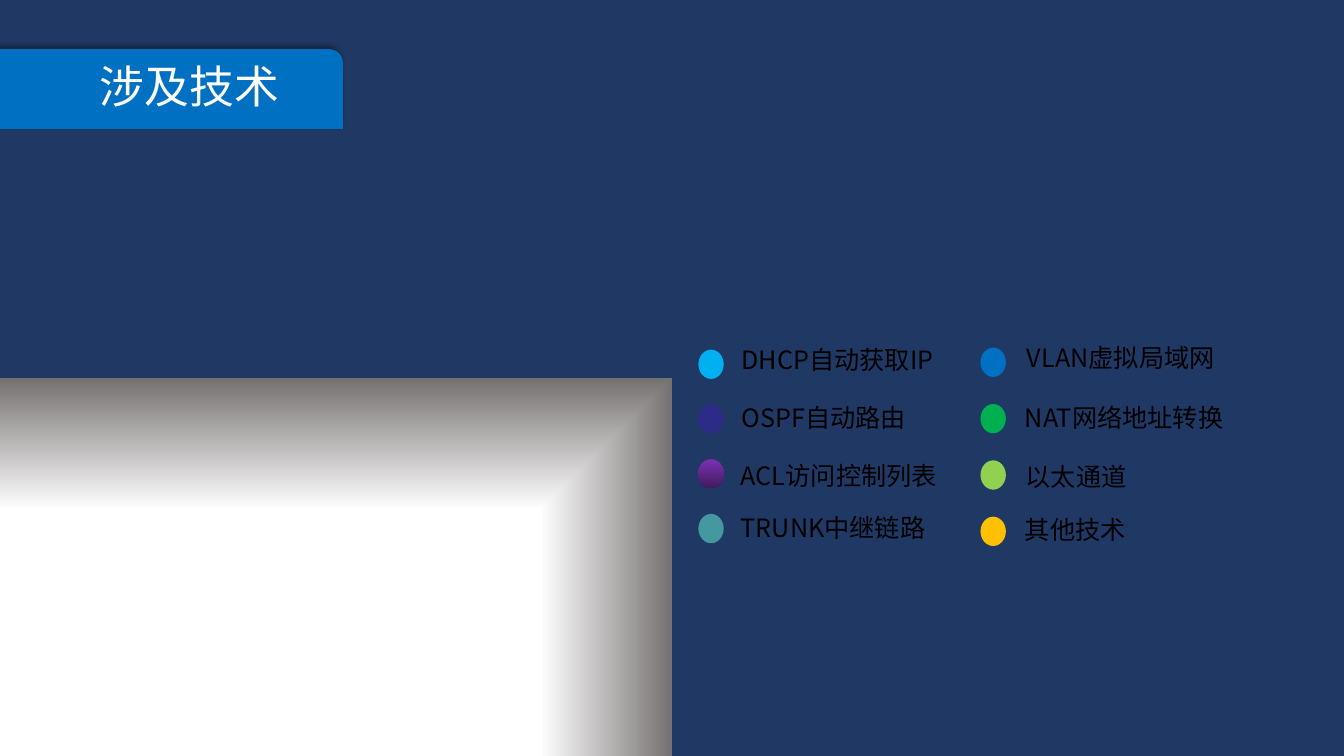
"""Builds the slide listing the network technologies involved."""
from pptx import Presentation
from pptx import util as u
from pptx.dml.color import RGBColor
from pptx.enum import shapes, text
from pptx.oxml import parse_xml
from pptx.oxml.ns import nsdecls, qn

FONT = "Noto Sans CJK SC"


def paint(fill, *colours):
    if len(colours) == 1:
        fill.solid()
        fill.fore_color.rgb = RGBColor.from_string(colours[0])
        return
    fill.gradient()
    fill.gradient_angle = 270
    for stop, position, colour in zip(fill.gradient_stops, (0, 1), colours):
        stop.position = position
        stop.color.rgb = RGBColor.from_string(colour)


def write(sp, wording, size, colour):
    tf = sp.text_frame
    tf.text = wording
    tf.word_wrap = True
    tf.auto_size = text.MSO_AUTO_SIZE.SHAPE_TO_FIT_TEXT
    tf.vertical_anchor = text.MSO_ANCHOR.TOP
    p = tf.paragraphs[0]
    p.alignment = text.PP_ALIGN.LEFT
    r = p.runs[0]
    r.font.size = u.Pt(size)
    r.font.name = FONT
    paint(r.font.fill, colour)
    ea = r.font._element.makeelement(qn("a:ea"), {"typeface": FONT})
    r.font._element.find(qn("a:latin")).addnext(ea)


prs = Presentation()
prs.slide_width, prs.slide_height = u.Cm(33.87), u.Cm(19.05)
s = prs.slides.add_slide(prs.slide_layouts[5])

s.background.fill.gradient()
old_fill = s._element.find(".//" + qn("p:bgPr")).find(qn("a:gradFill"))
stops = "".join(
    f'<a:gs pos="{position}000"><a:srgbClr val="{colour}"/></a:gs>'
    for position, colour in ((65, "FFFFFF"), (100, "767171"), (100, "203864")))
old_fill.getparent().replace(old_fill, parse_xml(
    f'<a:gradFill {nsdecls("a")} rotWithShape="1"><a:gsLst>{stops}</a:gsLst>'
    '<a:path path="rect"><a:fillToRect t="100000" r="100000"/></a:path>'
    '<a:tileRect l="-100000" b="-100000"/></a:gradFill>'))

tag = s.shapes.add_shape(shapes.MSO_SHAPE.ROUND_1_RECTANGLE,
                         u.Cm(-0.18), u.Cm(1.24), u.Cm(8.82), u.Cm(2.01))
paint(tag.fill, "0071C2")
tag.line.fill.background()
tag._element.spPr.append(parse_xml(
    f'<a:effectLst {nsdecls("a")}><a:outerShdw blurRad="{u.Pt(4)}" dist="{u.Pt(3)}" '
    'dir="13500000" algn="br" rotWithShape="0"><a:srgbClr val="000000">'
    '<a:alpha val="40000"/></a:srgbClr></a:outerShdw></a:effectLst>'))

title = s.shapes.title
title.left, title.top, title.width, title.height = (
    u.Cm(2.26), u.Cm(1.35), u.Cm(5.97), u.Cm(1.7))
write(title, "涉及技术", 32, "FFFFFF")
tag._element.addnext(title._element)

columns = [
    (17.6, 8.81, 1.38, [
        ("DHCP自动获取IP", 18.44, 8.56, ["00B0F0"]),
        ("OSPF自动路由", 18.44, 10.01, ["2C2B88"]),
        ("ACL访问控制列表", 18.42, 11.48, ["7B32B2", "401A5D"]),
        ("TRUNK中继链路", 18.42, 12.78, ["4598A0"]),
    ]),
    (24.71, 8.76, 1.42, [
        ("VLAN虚拟局域网", 25.63, 8.51, ["0071C2"]),
        ("NAT网络地址转换", 25.58, 10.01, ["00AF50"]),
        ("以太通道", 25.6, 11.51, ["92D051"]),
        ("其他技术", 25.58, 12.83, ["FFC000"]),
    ]),
]
for dot_left, dot_top, step, technologies in columns:
    for row, (name, left, top, colours) in enumerate(technologies):
        dot = s.shapes.add_shape(shapes.MSO_SHAPE.OVAL, u.Cm(dot_left),
                                 u.Cm(dot_top + row * step), u.Cm(0.64), u.Cm(0.74))
        paint(dot.fill, *colours)
        dot.line.fill.background()
        dot.shadow.inherit = False
        label = s.shapes.add_textbox(u.Cm(left), u.Cm(top), u.Cm(6.1), u.Cm(1.07))
        write(label, name, 18, "000000")

prs.save("out.pptx")
